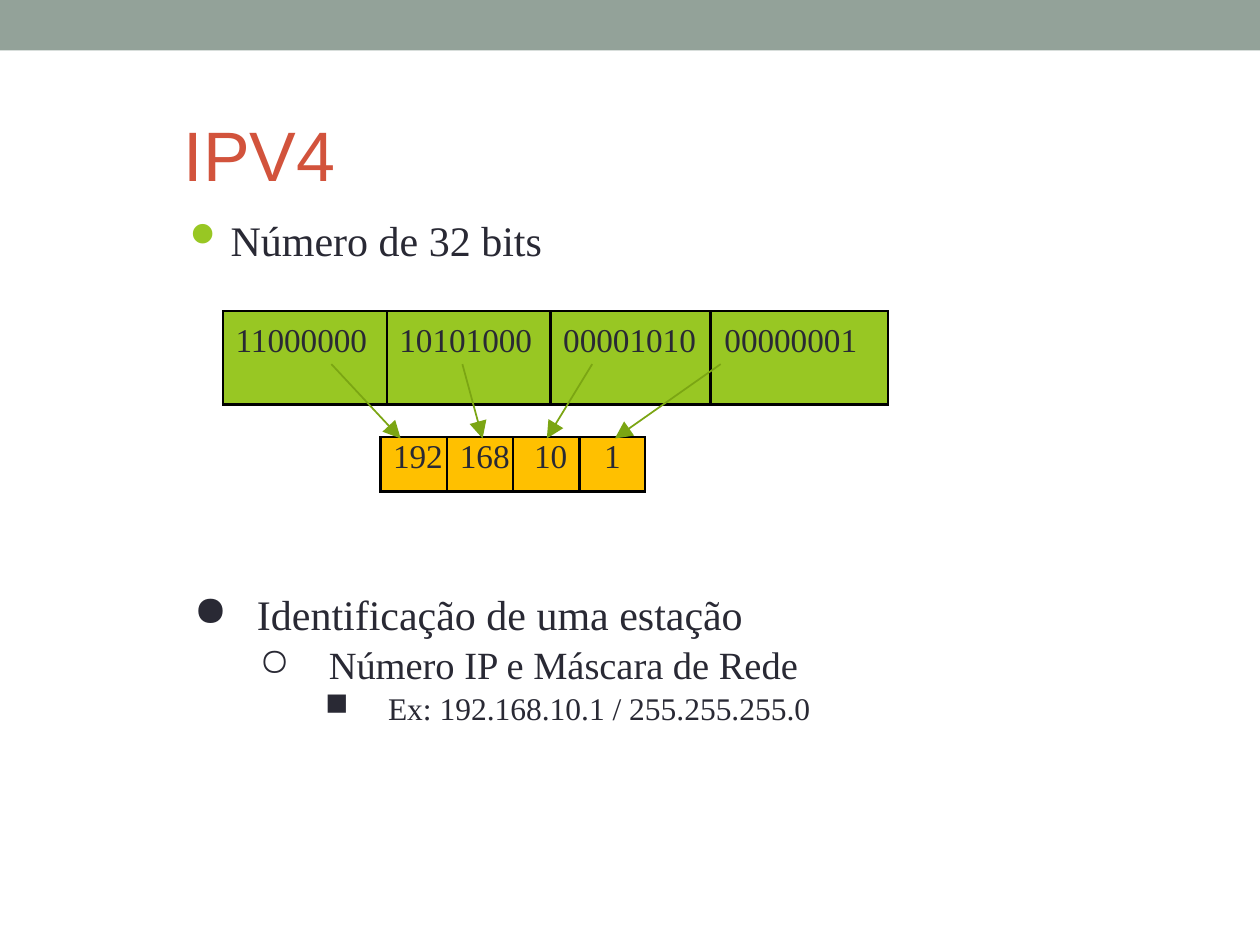
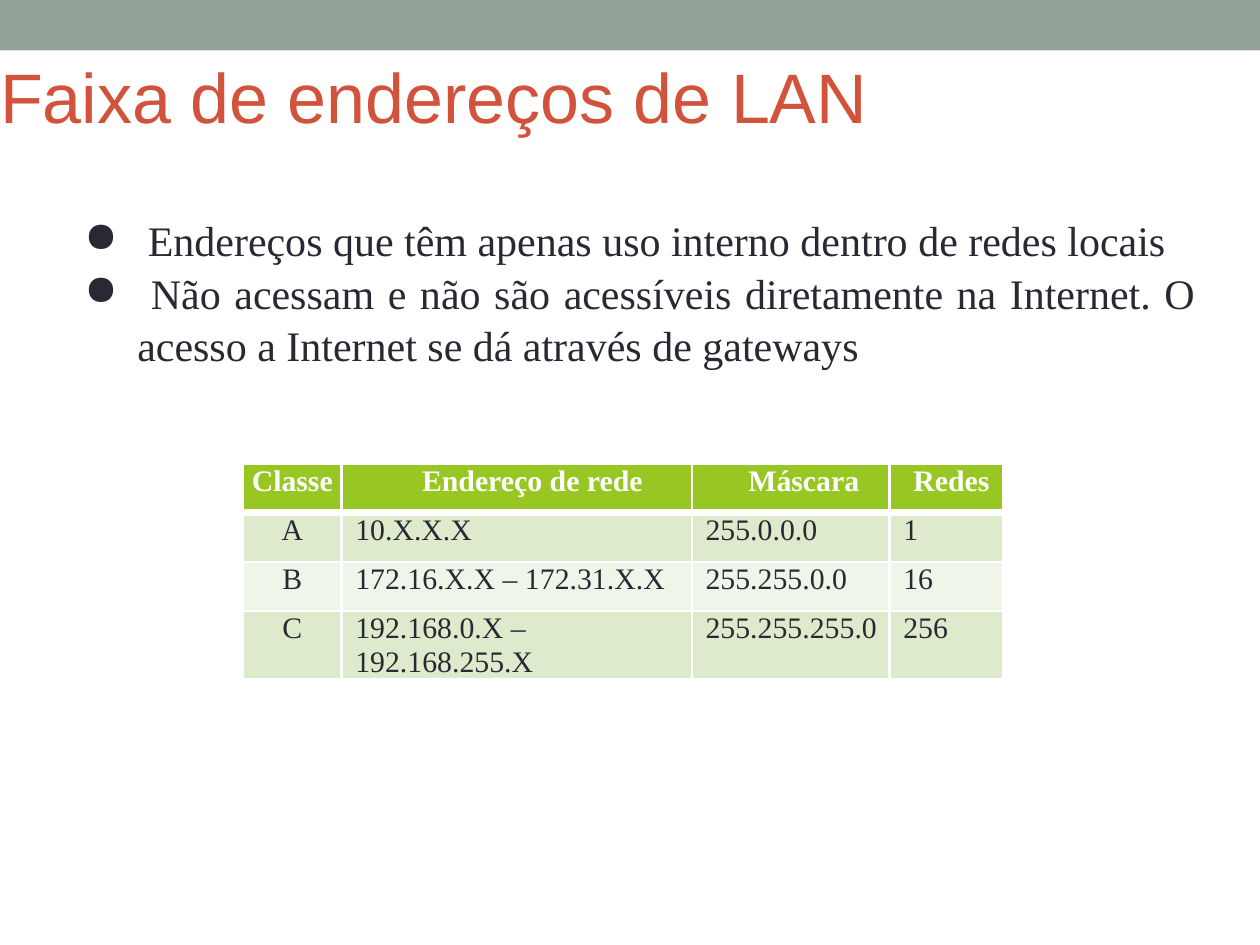
from lxml import etree
from pptx import Presentation
from pptx.dml.color import RGBColor
from pptx.enum.shapes import MSO_CONNECTOR as Connector, MSO_SHAPE as Shape
from pptx.enum.text import MSO_ANCHOR as Anchor, MSO_AUTO_SIZE as AutoSize, PP_ALIGN as Align
from pptx.oxml.ns import qn
from pptx.util import Inches, Pt

COLORS = {
    "band": "93A299",
    "title": "D2533C",
    "text": "292934",
    "green": "98C723",
    "arrow": "7BA513",
    "amber": "FFC000",
    "row_dark": "DDEBCC",
    "row_light": "EFF5E8",
    "black": "000000",
    "white": "FFFFFF",
}
SERIF = "Times New Roman"
TITLE_FONT = {"name": "Arial", "size": Pt(40), "bold": False}
THIN, THICK = 1.5, 4.25


def color(name):
    return RGBColor.from_string(COLORS[name])


def apply(target, values):
    for name, value in values.items():
        setattr(target, name, value)


def add_child(parent, tag, **attributes):
    return etree.SubElement(parent, qn(tag), attributes)


def add_color(parent, name):
    add_child(parent, "a:srgbClr", val=COLORS[name])


def style_font(font, values, color_name):
    apply(font, values)
    font.color.rgb = color(color_name)


def frame_format(top, anchor):
    return {
        "word_wrap": True,
        "auto_size": AutoSize.NONE,
        "vertical_anchor": anchor,
        "margin_left": 0,
        "margin_right": 0,
        "margin_top": Inches(top),
        "margin_bottom": 0,
    }


def place(shape, left, top, width, height):
    apply(shape, {"left": Inches(left), "top": Inches(top),
                  "width": Inches(width), "height": Inches(height)})


def add_slide(presentation, title, box):
    slide = presentation.slides.add_slide(presentation.slide_layouts[5])
    band = slide.shapes.add_shape(Shape.RECTANGLE, 0, 0, presentation.slide_width, Inches(0.4))
    band.shadow.inherit = False
    band.fill.solid()
    band.fill.fore_color.rgb = color("band")
    band.line.fill.background()

    heading = slide.shapes.title
    place(heading, *box)
    heading.text_frame.text = title
    apply(heading.text_frame, frame_format(0.01, Anchor.MIDDLE))
    paragraph = heading.text_frame.paragraphs[0]
    paragraph.alignment = Align.LEFT
    style_font(paragraph.runs[0].font, TITLE_FONT, "title")
    return slide


def add_bullet(paragraph, symbol, color_name, margin, hanging):
    properties = paragraph._p.get_or_add_pPr()
    properties.set("marL", str(Inches(margin)))
    properties.set("indent", str(-Inches(hanging)))
    add_color(add_child(properties, "a:buClr"), color_name)
    add_child(properties, "a:buChar", char=symbol)


def add_bullets(slide, box, items, top_margin=0.09, alignment=Align.LEFT, bullet_color="text"):
    frame = slide.shapes.add_textbox(*map(Inches, box)).text_frame
    apply(frame, frame_format(top_margin, Anchor.TOP))
    for index, (text, level, size, symbol, margin, hanging) in enumerate(items):
        paragraph = frame.add_paragraph() if index else frame.paragraphs[0]
        apply(paragraph, {"level": level, "alignment": alignment, "line_spacing": 1.05})
        add_bullet(paragraph, symbol, bullet_color, margin, hanging)
        run = paragraph.add_run()
        run.text = text
        style_font(run.font, {"name": SERIF, "size": Pt(size)}, "text")


def add_borders(cell, color_name, top=THIN, bottom=THIN):
    properties = cell._tc.get_or_add_tcPr()
    for side, width in (("L", THIN), ("R", THIN), ("T", top), ("B", bottom)):
        line = add_child(properties, f"a:ln{side}", w=str(Pt(width)))
        add_color(add_child(line, "a:solidFill"), color_name)


def fill_cell(cell, text, size, indent, fill, top=0.01, spacing=1.0, font_color="text", bold=False):
    apply(cell, {"margin_left": Inches(indent), "margin_right": 0,
                 "margin_top": Inches(top), "margin_bottom": 0})
    cell.fill.solid()
    cell.fill.fore_color.rgb = color(fill)
    cell.text = text
    paragraph = cell.text_frame.paragraphs[0]
    apply(paragraph, {"alignment": Align.LEFT if indent else Align.CENTER,
                      "line_spacing": spacing})
    style_font(paragraph.runs[0].font, {"name": SERIF, "size": Pt(size), "bold": bold}, font_color)


def add_table(slide, left, top, widths, row_height, row_count=1):
    table = slide.shapes.add_table(
        row_count, len(widths), Inches(left), Inches(top),
        Inches(sum(widths)), Inches(row_height * row_count)).table
    apply(table, {"first_row": False, "horz_banding": False})
    for column, width in zip(table.columns, widths):
        column.width = Inches(width)
    return table


def add_octets(slide, position, widths, height, octets, fill, **cell_format):
    table = add_table(slide, *position, widths, height)
    for cell, (text, indent) in zip(table.rows[0].cells, octets):
        add_borders(cell, "black")
        fill_cell(cell, text, 19, indent, fill, **cell_format)


def add_arrow(slide, start_x, start_y, end_x, end_y):
    arrow = slide.shapes.add_connector(
        Connector.STRAIGHT, *map(Inches, (start_x, start_y, end_x, end_y)))
    arrow.line.width = Pt(1)
    arrow.line.color.rgb = color("arrow")
    add_child(arrow.line._get_or_add_ln(), "a:tailEnd", type="triangle", w="lg", len="lg")
    add_child(arrow._element.spPr, "a:effectLst")


def add_class_table(slide):
    header = ("Classe", "Endereço de rede", "Máscara", "Redes")
    header_indents = (0, 0.64, 0.45, 0.19)
    body_indents = (0, 0.11, 0.11, 0.11)
    classes = (
        ("A", "10.X.X.X", "255.0.0.0", "1"),
        ("B", "172.16.X.X – 172.31.X.X", "255.255.0.0", "16"),
        ("C", "192.168.0.X – 192.168.255.X", "255.255.255.0", "256"),
    )
    table = add_table(slide, 1.93, 3.68, (0.78, 2.78, 1.57, 0.9), 0.39, len(classes) + 1)
    for cell, text, indent in zip(table.rows[0].cells, header, header_indents):
        add_borders(cell, "white", bottom=THICK)
        fill_cell(cell, text, 17, indent, "green", font_color="white", bold=True)
    for number, values in enumerate(classes, 1):
        for cell, text, indent in zip(table.rows[number].cells, values, body_indents):
            add_borders(cell, "white", top=THICK if number == 1 else THIN)
            fill_cell(cell, text, 17, indent, "row_dark" if number % 2 else "row_light")


def build_ipv4(presentation):
    slide = add_slide(presentation, "IPV4", (1.46, 0.87, 1.81, 0.69))
    add_bullets(slide, (1.46, 1.67, 4.09, 0.42),
                [("Número de 32 bits", 0, 24, "⚫", 0.37, 0.36)],
                top_margin=0.01, bullet_color="green")
    add_bullets(slide, (1.46, 4.56, 7.3, 1.16), [
        ("Identificação de uma estação", 0, 24, "●", 0.58, 0.5),
        ("Número IP e Máscara de Rede", 1, 22, "○", 1.15, 0.55),
        ("Ex: 192.168.10.1 / 255.255.255.0", 2, 18, "■", 1.62, 0.5),
    ])
    add_octets(slide, (1.77, 2.47), (1.3, 1.3, 1.27, 1.41), 0.74,
               (("11000000", 0.1), ("10101000", 0.1), ("00001010", 0.1), ("00000001", 0.11)),
               "green", top=0, spacing=1.33)
    add_octets(slide, (3.02, 3.47), (0.53, 0.52, 0.53, 0.52), 0.43,
               (("192", 0.1), ("168", 0.1), ("10", 0.17), ("1", 0)), "amber")
    for binary_x, decimal_x in ((2.63, 3.18), (3.67, 3.83), (4.7, 4.34), (5.72, 4.88)):
        add_arrow(slide, binary_x, 2.89, decimal_x, 3.48)


def build_lan_ranges(presentation):
    slide = add_slide(presentation, "Faixa de endereços de LAN", (0, 0.41, 7.69, 0.69))
    texts = (
        " Endereços que têm apenas uso interno dentro de redes locais",
        " Não acessam e não são acessíveis diretamente na Internet. O acesso a Internet "
        "se dá através de gateways",
    )
    add_bullets(slide, (0.59, 1.59, 8.9, 1.31),
                [(text, 0, 24, "●", 0.5, 0.42) for text in texts], alignment=Align.JUSTIFY)
    add_class_table(slide)


def main():
    presentation = Presentation()
    apply(presentation, {"slide_width": Inches(10), "slide_height": Inches(7.5)})
    build_ipv4(presentation)
    build_lan_ranges(presentation)
    presentation.save("out.pptx")


if __name__ == "__main__":
    main()
